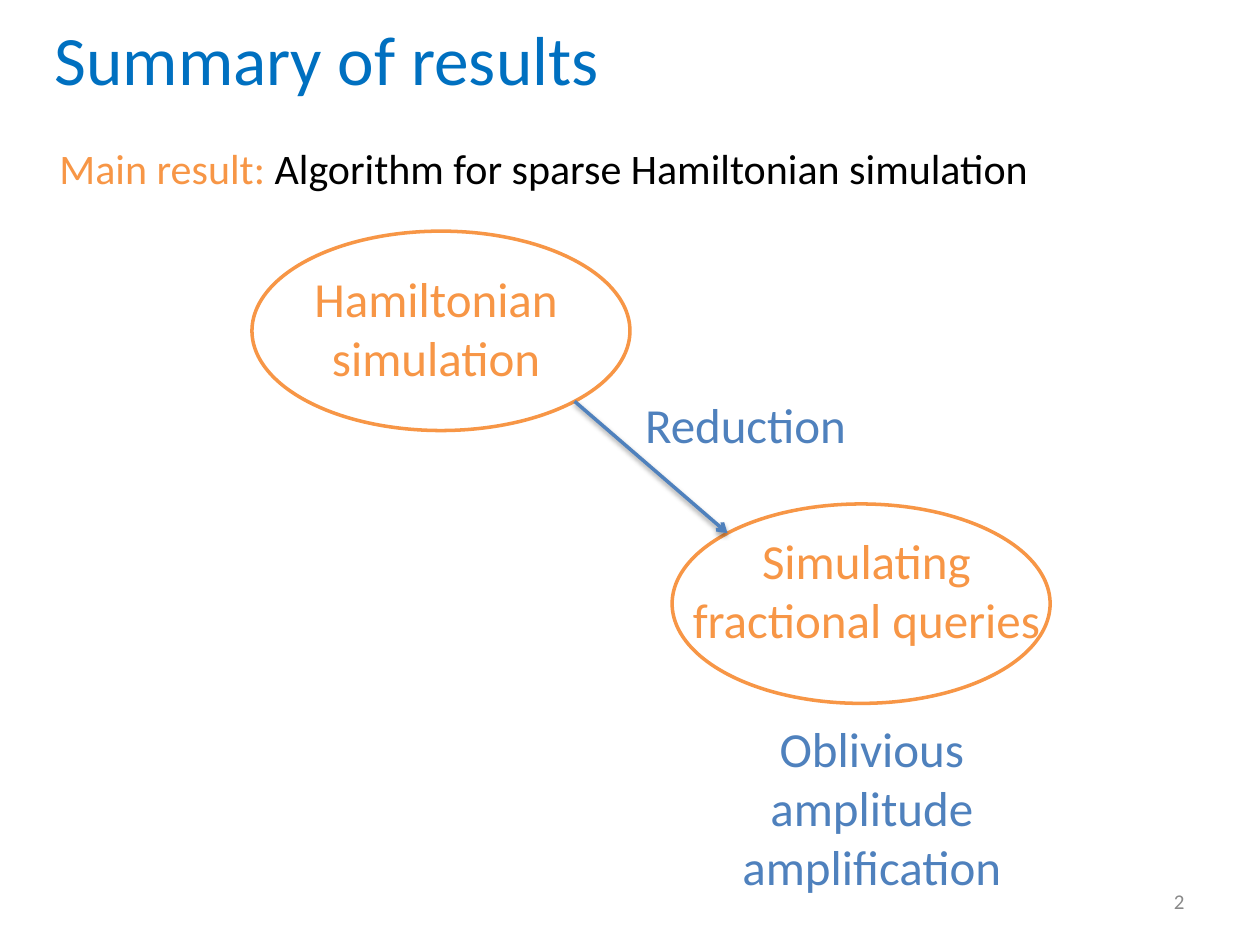
from dataclasses import dataclass
from math import sqrt

from lxml import etree
from pptx import Presentation
from pptx.dml.color import RGBColor
from pptx.enum.shapes import MSO_CONNECTOR, MSO_SHAPE
from pptx.enum.text import MSO_ANCHOR as Anchor, PP_ALIGN as Align
from pptx.oxml import parse_xml
from pptx.oxml.ns import nsdecls, qn
from pptx.util import Cm, Pt

COLORS = {
    "title": "0070C0",
    "orange": "F79646",
    "blue": "4F81BD",
    "black": "000000",
    "gray": "898989",
    "white": "FFFFFF",
}
FONT = "Calibri"
OVAL_W, OVAL_H = 7.62, 4.02


@dataclass
class Label:
    """A text box in cm; runs are (text, colour name) pairs."""
    left: float
    top: float
    width: float
    height: float
    runs: list[tuple[str, str]]
    size: float = 28
    align: Align = Align.CENTER
    anchor: Anchor = Anchor.TOP
    indent: float = 0
    before: float = 0


@dataclass
class Oval:
    left: float
    top: float

    def diagonal(self, sign: int) -> tuple[Cm, Cm]:
        """Outline point at the lower right (1) or upper left (-1)."""
        reach = sign / sqrt(2)
        return (Cm(self.left + OVAL_W / 2 * (1 + reach)),
                Cm(self.top + OVAL_H / 2 * (1 + reach)))


def rgb(name: str) -> RGBColor:
    return RGBColor.from_string(COLORS[name])


def draw_label(slide, label: Label) -> None:
    box = slide.shapes.add_textbox(Cm(label.left), Cm(label.top),
                                   Cm(label.width), Cm(label.height))
    tf = box.text_frame
    tf.word_wrap = True
    tf.vertical_anchor = label.anchor
    p = tf.paragraphs[0]
    p.alignment = label.align
    if label.before:
        p.space_before = Pt(label.before)
    if label.indent:
        p._p.get_or_add_pPr().set("marL", str(Cm(label.indent)))
    for text, color in label.runs:
        r = p.add_run()
        r.text = text
        r.font.name = FONT
        r.font.size = Pt(label.size)
        r.font.color.rgb = rgb(color)


def draw_oval(slide, oval: Oval) -> None:
    sp = slide.shapes.add_shape(MSO_SHAPE.OVAL, Cm(oval.left), Cm(oval.top),
                                Cm(OVAL_W), Cm(OVAL_H))
    sp.shadow.inherit = False
    sp.fill.solid()
    sp.fill.fore_color.rgb = rgb("white")
    sp.line.color.rgb = rgb("orange")
    sp.line.width = Pt(2)


def draw_arrow(slide, start: Oval, end: Oval) -> None:
    line = slide.shapes.add_connector(MSO_CONNECTOR.STRAIGHT,
                                      *start.diagonal(1), *end.diagonal(-1))
    line.line.color.rgb = rgb("blue")
    line.line.width = Pt(2)
    etree.SubElement(line.line._get_or_add_ln(), qn("a:tailEnd"), type="arrow")
    # Soft shadow straight below the arrow
    line._element.spPr.append(parse_xml(
        f'<a:effectLst {nsdecls("a")}><a:outerShdw blurRad="{Pt(3.1)}" '
        f'dist="{Pt(1.6)}" dir="5400000" rotWithShape="0">'
        f'<a:srgbClr val="{COLORS["black"]}"><a:alpha val="38000"/></a:srgbClr>'
        '</a:outerShdw></a:effectLst>'))


HAMILTONIAN = Oval(5.08, 4.66)
FRACTIONAL = Oval(13.55, 10.16)

HEADINGS = [
    Label(0.85, 0.21, 24.55, 1.9, [("Summary of results", "title")],
          39.6, Align.LEFT, Anchor.MIDDLE),
    Label(0, 2.75, 24.98, 1.69,
          [("Main result: ", "orange"),
           ("Algorithm for sparse Hamiltonian simulation", "black")],
          24, Align.LEFT, indent=0.95, before=4.8),
    Label(18.2, 17.66, 5.93, 1.02, [("2", "gray")],
          12, Align.RIGHT, Anchor.MIDDLE),
]
DIAGRAM_LABELS = [
    Label(5.72, 5.29, 6.14, 2.65, [("Hamiltonian simulation", "orange")]),
    Label(13.55, 10.58, 7.83, 2.65,
          [("Simulating fractional queries", "orange")]),
    Label(12.7, 7.83, 4.66, 1.45, [("Reduction", "blue")]),
    Label(13.34, 14.36, 8.47, 3.84,
          [("Oblivious amplitude amplification", "blue")]),
]


def main() -> None:
    prs = Presentation()
    prs.slide_width, prs.slide_height = Cm(25.4), Cm(19.05)
    slide = prs.slides.add_slide(prs.slide_layouts[6])

    # Title, main result and page number
    for label in HEADINGS:
        draw_label(slide, label)

    # Reduction diagram
    for oval in (HAMILTONIAN, FRACTIONAL):
        draw_oval(slide, oval)
    draw_arrow(slide, HAMILTONIAN, FRACTIONAL)
    for label in DIAGRAM_LABELS:
        draw_label(slide, label)

    prs.save("out.pptx")


if __name__ == "__main__":
    main()
